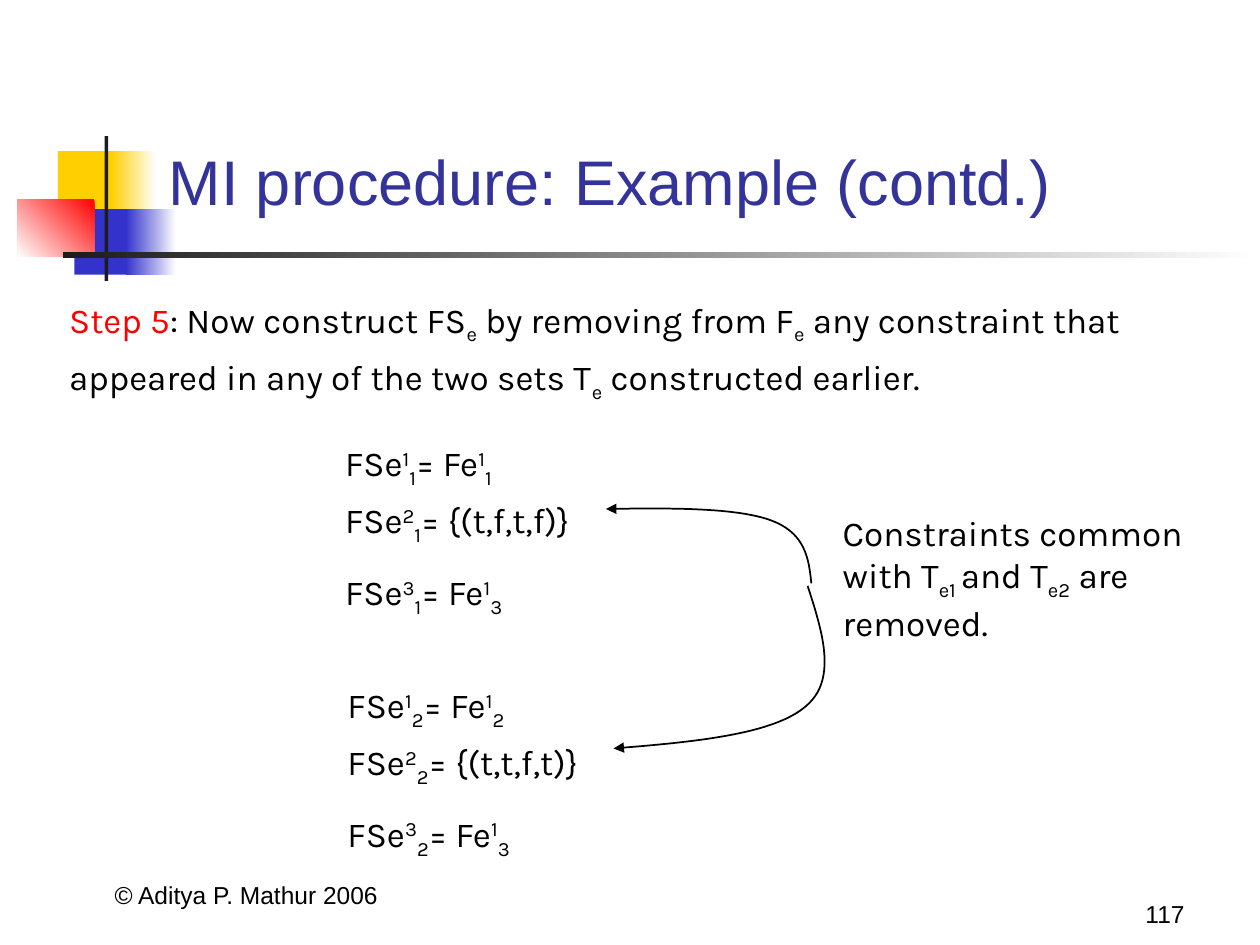
import pptx
import pptx.util
import pptx.dml.color
import pptx.enum.shapes
import pptx.enum.text
import pptx.oxml.ns
from lxml import etree

COLORS = {
    "black": "000000", "white": "FFFFFF", "charcoal": "1C1C1C", "yellow": "FFCF01",
    "blue": "3333CC", "red": "FF0000", "title": "333399",
}
RGB = {name: pptx.dml.color.RGBColor.from_string(value) for name, value in COLORS.items()}
ALIGN = pptx.enum.text.PP_ALIGN
ANCHOR = pptx.enum.text.MSO_ANCHOR

presentation = pptx.Presentation()
presentation.slide_width = pptx.util.Inches(10)
presentation.slide_height = pptx.util.Inches(7.5)
slide = presentation.slides.add_slide(presentation.slide_layouts[6])

# Grid of 100 columns by 75 rows
COLUMN = presentation.slide_width / 100
ROW = presentation.slide_height / 75


def grid(left, top, width, height):
    return [round(left * COLUMN), round(top * ROW), round(width * COLUMN), round(height * ROW)]


def add_text(box, lines, size=20, font="Karla", color="black",
             align=ALIGN.LEFT, anchor=ANCHOR.TOP):
    """Each line is (spacing, text); "|" parts runs, ^ raises, _ lowers, ! reddens."""
    frame = slide.shapes.add_textbox(*grid(*box)).text_frame
    frame.word_wrap = True
    frame.vertical_anchor = anchor
    for number, (spacing, text) in enumerate(lines):
        paragraph = frame.add_paragraph() if number else frame.paragraphs[0]
        paragraph.alignment = align
        paragraph.line_spacing = spacing
        paragraph.font.size = pptx.util.Pt(size)
        paragraph.font.name = font
        paragraph.font.color.rgb = RGB[color]
        for part in text.split("|"):
            run = paragraph.add_run()
            run.text = part.lstrip("^_!")
            if part[0] == "!":
                run.font.color.rgb = RGB["red"]
            elif part[0] in "^_":
                baseline = "30000" if part[0] == "^" else "-25000"
                run.font._element.set("baseline", baseline)


# Corner ornament: (box, colours, gradient angle)
ornament = [
    ((4.6, 12, 4.8, 5.2), ["yellow"], None),
    ((8.8, 12, 3.6, 5.2), ["white", "yellow"], 180),
    ((5.9, 16.6, 4.6, 5.2), ["blue"], None),
    ((10, 16.6, 4, 5.2), ["white", "blue"], 180),
    ((1.4, 15.8, 6.1, 4.6), ["red", "white"], 225),
    ((8.3, 10.8, 0.3, 11.5), ["charcoal"], None),
    ((5, 20, 95, 0.5), ["white", "charcoal"], 180),
]
for box, names, angle in ornament:
    shape = slide.shapes.add_shape(pptx.enum.shapes.MSO_SHAPE.RECTANGLE, *grid(*box))
    shape.shadow.inherit = False
    shape.line.fill.background()
    if angle is None:
        shape.fill.solid()
        shape.fill.fore_color.rgb = RGB[names[0]]
    else:
        shape.fill.gradient()
        shape.fill.gradient_angle = angle
        for stop, name in zip(shape.fill.gradient_stops, names):
            stop.color.rgb = RGB[name]

# Footer, page number and title
add_text((3.7, 67.7, 31.7, 5), [(1, "© Aditya P. Mathur 2006")], 14, "Arial",
         align=ALIGN.CENTER, anchor=ANCHOR.BOTTOM)
add_text((74.2, 69.2, 20.8, 5), [(1, "117")], 14, "Arial",
         align=ALIGN.RIGHT, anchor=ANCHOR.BOTTOM)
add_text((12.4, 10.7, 85.2, 7.1), [(1, "MI procedure: Example (contd.)")], 36, "Arial",
         "title", anchor=ANCHOR.BOTTOM)

# Step description
add_text((4.5, 22.4, 88.1, 10.1), [(1.2, (
    "!Step 5|: Now construct FS|_e| by removing from F|_e| any constraint that "
    "appeared in any of the two sets T|_e| constructed earlier."))])

# Constraint sets, one block for each index
for index, box, values in [
    (1, (26.4, 33.8, 26.2, 15.8), "{(t,f,t,f)}"),
    (2, (26.6, 53, 30.3, 15.8), "{(t,t,f,t)}"),
]:
    add_text(box, [
        (1.2, f"FSe|^1|_{index}|= Fe|^1|_{index}"),
        (1.2, f"FSe|^2|_{index}|= {values}"),
        (1.5, f"FSe|^3|_{index}|= Fe|^1|_3"),
    ])

# Remark with two curved arrows
add_text((65.9, 40.1, 30.3, 11.5),
         [(1, "Constraints common with T|_e1 |and T|_e2| are removed.")])
STEPS = 24
arrows = [
    [(64.4, 46.3), (64.2, 44.3), (63.9, 42.3), (61.2, 41.3),
     (58.5, 40.3), (53.3, 40.3), (48.1, 40.4)],
    [(64.1, 46.5), (65.3, 50.2), (66.5, 54), (63.9, 56.1),
     (61.3, 58.3), (55, 58.9), (48.7, 59.4)],
]
for controls in arrows:
    points = []
    for first in (0, 3):
        curve = controls[first:first + 4]
        for step in range(STEPS + 1):
            t = step / STEPS
            weights = [(1 - t) ** 3, 3 * t * (1 - t) ** 2, 3 * t ** 2 * (1 - t), t ** 3]
            x = sum(weight * point[0] for weight, point in zip(weights, curve))
            y = sum(weight * point[1] for weight, point in zip(weights, curve))
            points.append((round(x * COLUMN), round(y * ROW)))
    builder = slide.shapes.build_freeform(*points[0])
    builder.add_line_segments(points[1:], close=False)
    arrow = builder.convert_to_shape()
    arrow.shadow.inherit = False
    arrow.fill.background()
    arrow.line.color.rgb = RGB["black"]
    arrow.line.width = pptx.util.Pt(1)
    etree.SubElement(arrow.line._get_or_add_ln(), pptx.oxml.ns.qn("a:tailEnd"), type="triangle")

presentation.save("out.pptx")
